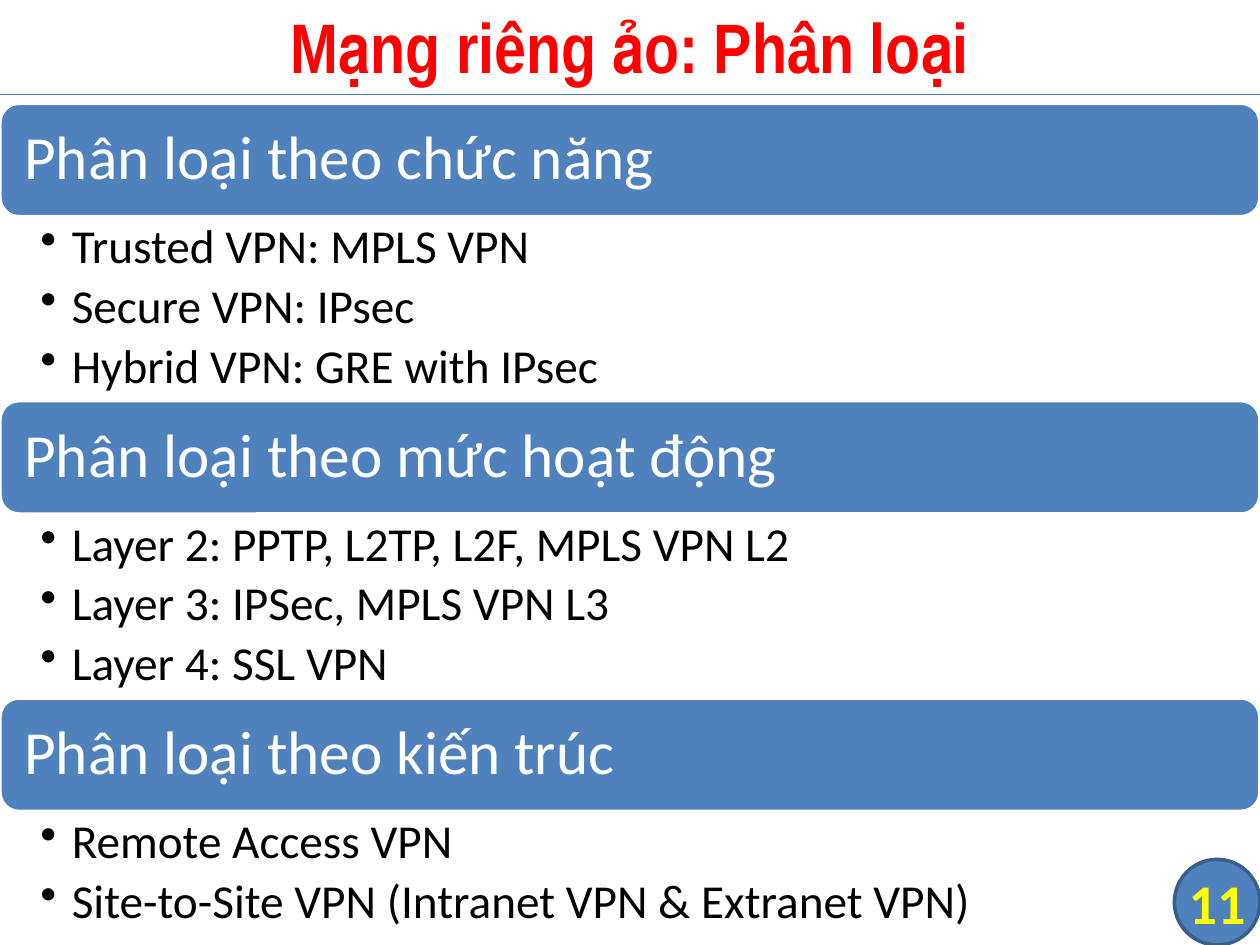
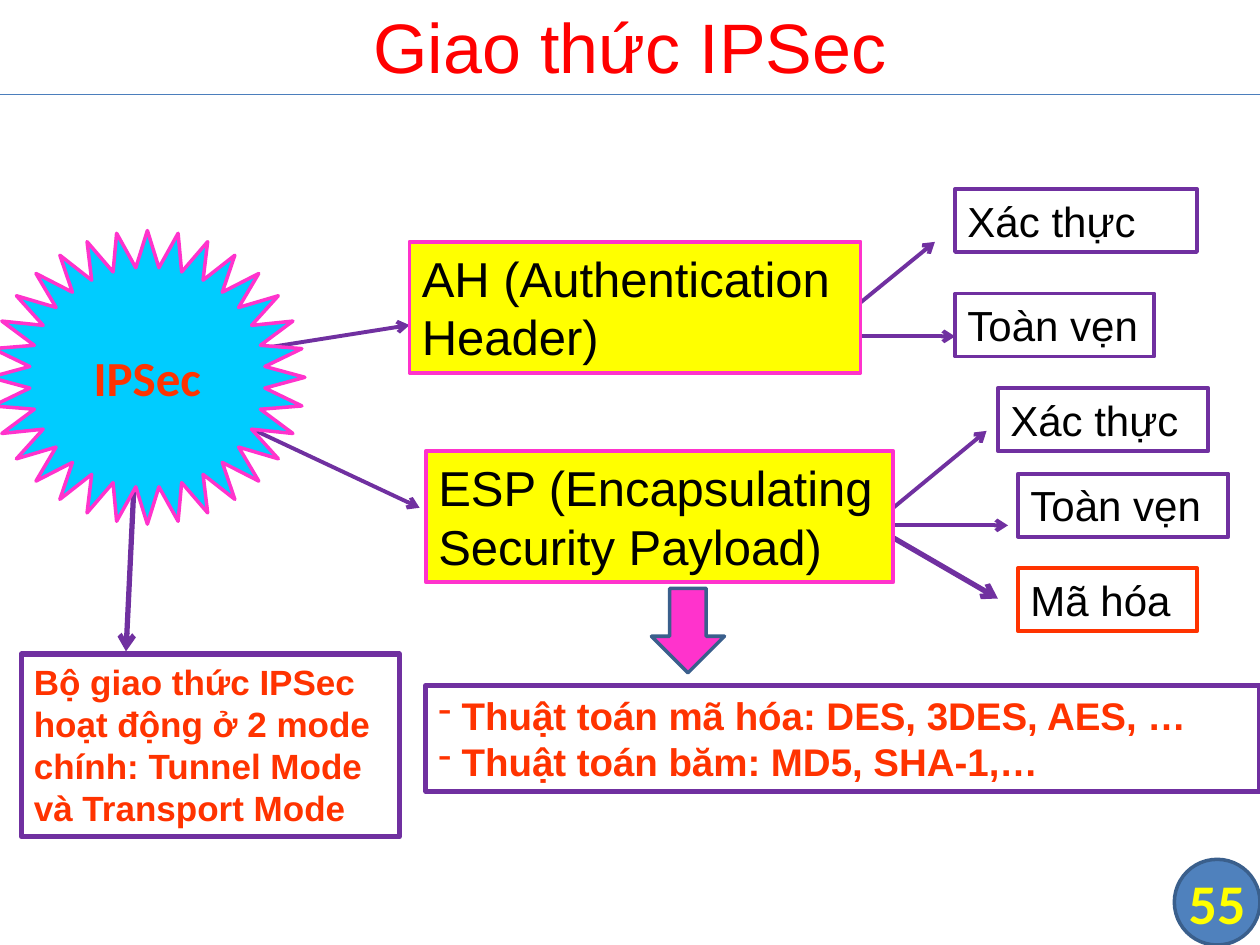
import dataclasses

import pptx
import pptx.dml.color
import pptx.enum.shapes
import pptx.enum.text
import pptx.oxml
import pptx.oxml.ns
import pptx.util

Inches = pptx.util.Inches
Pt = pptx.util.Pt
PRESET = pptx.enum.shapes.MSO_SHAPE
ALIGN = pptx.enum.text.PP_ALIGN
ANCHOR = pptx.enum.text.MSO_ANCHOR
AUTO_SIZE = pptx.enum.text.MSO_AUTO_SIZE
NS = pptx.oxml.ns.nsdecls("a")


@dataclasses.dataclass(frozen=True)
class Theme:
    white: str = "FFFFFF"
    black: str = "000000"
    blue: str = "4F81BD"
    blue_edge: str = "3A5F8C"
    divider: str = "4B7EBC"
    red: str = "FF0000"
    orange: str = "FF3300"
    yellow: str = "FFFF00"
    purple: str = "7030A0"
    pink: str = "FF33CC"
    cyan: str = "00CCFF"
    title: int = 40
    heading: int = 35
    number: int = 32
    protocol: int = 28
    item: int = 27
    service: int = 24
    algorithm: int = 22
    note: int = 20


theme = Theme()
rgb = pptx.dml.color.RGBColor.from_string


def add_part(slide, preset, at, fill=None, edge=None, width=2.25, lines=(),
             color=theme.black, font=None, frame=None, paragraph=None, bullet=None):
    box = [Inches(length) for length in at]
    if preset is None:
        part = slide.shapes.add_textbox(*box)
    else:
        part = slide.shapes.add_shape(preset, *box)
        part.shadow.inherit = False
    if fill:
        part.fill.solid()
        part.fill.fore_color.rgb = rgb(fill)
    else:
        part.fill.background()
    if edge:
        part.line.color.rgb = rgb(edge)
        part.line.width = Pt(width)
    else:
        part.line.fill.background()
    text_frame = part.text_frame
    for attribute, value in ({"word_wrap": True, "vertical_anchor": ANCHOR.TOP} | (frame or {})).items():
        setattr(text_frame, attribute, value)
    for index, line in enumerate(lines):
        row = text_frame.add_paragraph() if index else text_frame.paragraphs[0]
        for attribute, value in ({"alignment": ALIGN.LEFT} | (paragraph or {})).items():
            setattr(row, attribute, value)
        run = row.add_run()
        run.text = line
        run.font.color.rgb = rgb(color)
        for attribute, value in (font or {}).items():
            setattr(run.font, attribute, value)
        if bullet:
            mark, indent = bullet
            properties = row._p.get_or_add_pPr()
            properties.set("marL", str(Inches(indent)))
            properties.set("indent", str(Inches(-indent)))
            properties.append(pptx.oxml.parse_xml(f'<a:buChar {NS} char="{mark}"/>'))


def add_line(slide, start, end, color, width, arrow=True):
    ends = [Inches(length) for length in (*start, *end)]
    line = slide.shapes.add_connector(pptx.enum.shapes.MSO_CONNECTOR.STRAIGHT, *ends)
    line.line.color.rgb = rgb(color)
    line.line.width = Pt(width)
    properties = line._element.spPr
    if arrow:
        outline = properties.find(pptx.oxml.ns.qn("a:ln"))
        outline.append(pptx.oxml.parse_xml(f'<a:tailEnd {NS} type="arrow"/>'))
    properties.append(pptx.oxml.parse_xml(f"<a:effectLst {NS}/>"))


no_margins = dict.fromkeys(("margin_left", "margin_top", "margin_right", "margin_bottom"), 0)
centred = {"alignment": ALIGN.CENTER}
middle = {"vertical_anchor": ANCHOR.MIDDLE}
growing = {"auto_size": AUTO_SIZE.SHAPE_TO_FIT_TEXT}

presentation = pptx.Presentation()
presentation.slide_width = Inches(10)
presentation.slide_height = Inches(7.5)

slides = []
for title, title_font, number in (
    ("Mạng riêng ảo: Phân loại", {"name": "Arial Narrow", "bold": True}, "11"),
    ("Giao thức IPSec", {"name": "Arial"}, "55"),
):
    slide = presentation.slides.add_slide(presentation.slide_layouts[6])
    add_line(slide, (0, 0.75), (10, 0.75), theme.divider, 0.75, arrow=False)
    add_part(slide, None, (0, -0.03, 10, 0.78), lines=[title], color=theme.red,
             font=title_font | {"size": Pt(theme.title)}, frame=middle, paragraph=centred)
    add_part(slide, PRESET.FLOWCHART_CONNECTOR, (9.32, 6.82, 0.68, 0.68),
             theme.blue, theme.blue_edge, 2, [number], theme.yellow,
             {"name": "Calibri", "size": Pt(theme.number), "bold": True},
             no_margins | middle | {"word_wrap": False}, centred)
    slides.append(slide)
classification, ipsec = slides

groups = (
    ("Phân loại theo chức năng",
     ["Trusted VPN: MPLS VPN", "Secure VPN: IPsec", "Hybrid VPN: GRE with IPsec"]),
    ("Phân loại theo mức hoạt động",
     ["Layer 2: PPTP, L2TP, L2F, MPLS VPN L2", "Layer 3: IPSec, MPLS VPN L3", "Layer 4: SSL VPN"]),
    ("Phân loại theo kiến trúc",
     ["Remote Access VPN", "Site-to-Site VPN (Intranet VPN & Extranet VPN)"]),
)
heading_height = 0.9
for index, (heading, items) in enumerate(groups):
    top = 0.82 + index * 2.36
    add_part(classification, PRESET.ROUNDED_RECTANGLE, (0, top, 10, heading_height),
             theme.blue, theme.white, 2, [heading], theme.white,
             {"name": "Calibri", "size": Pt(theme.heading)},
             middle | {"margin_left": Inches(0.15)}, {"line_spacing": 0.9})
    add_part(classification, None, (0, top + heading_height, 10, 0.03 + 0.48 * len(items)),
             lines=items, font={"name": "Calibri", "size": Pt(theme.item)},
             frame={"margin_left": Inches(0.32), "margin_right": Inches(0.27)},
             paragraph={"level": 1, "line_spacing": 0.9, "space_after": Pt(5)},
             bullet=("•", 0.25))

ah_exit, esp_exit = (6.5, 2.67), (6.92, 4.17)
for start, end, width in (
    (ah_exit, (7.42, 1.92), 2.25),
    (ah_exit, (7.58, 2.67), 2.25),
    (esp_exit, (7.83, 3.42), 2.25),
    (esp_exit, (8, 4.17), 2.25),
    (esp_exit, (7.92, 4.75), 3),
    ((1.08, 3.5), (1, 5.17), 3),
    ((1.67, 2.83), (3.25, 2.58), 2.25),
    ((1.67, 3.25), (3.33, 4.03), 2.25),
):
    add_line(ipsec, start, end, theme.purple, width)

for protocol, at in (
    ("AH (Authentication Header)", (3.25, 1.92, 3.58, 1.04)),
    ("ESP (Encapsulating Security Payload)", (3.38, 3.58, 3.71, 1.04)),
):
    add_part(ipsec, PRESET.RECTANGLE, at, theme.yellow, theme.pink, lines=[protocol],
             font={"name": "Arial", "size": Pt(theme.protocol)}, frame=growing)

add_part(ipsec, PRESET.STAR_32_POINT, (-0.08, 1.83, 2.5, 2.33), theme.cyan, theme.pink, 2,
         ["IPSec"], theme.orange,
         {"name": "Calibri", "size": Pt(theme.protocol), "bold": True},
         no_margins | middle, centred)

add_part(ipsec, PRESET.RECTANGLE, (0.17, 5.19, 3, 1.45), theme.white, theme.purple, 3,
         ["Bộ giao thức IPSec hoạt động ở 2 mode chính: Tunnel Mode và Transport Mode"],
         theme.orange, {"name": "Arial", "size": Pt(theme.note), "bold": True}, growing)

for service, left, top, width, edge in (
    ("Xác thực", 7.58, 1.5, 1.92, theme.purple),
    ("Toàn vẹn", 7.58, 2.33, 1.58, theme.purple),
    ("Xác thực", 7.92, 3.08, 1.67, theme.purple),
    ("Toàn vẹn", 8.08, 3.76, 1.67, theme.purple),
    ("Mã hóa", 8.08, 4.51, 1.42, theme.orange),
):
    add_part(ipsec, PRESET.RECTANGLE, (left, top, width, 0.5), edge=edge, lines=[service],
             font={"name": "Arial", "size": Pt(theme.service)}, frame=growing)

add_part(ipsec, PRESET.DOWN_ARROW, (5.17, 4.67, 0.58, 0.67), theme.pink, theme.blue_edge, 2)

add_part(ipsec, PRESET.RECTANGLE, (3.38, 5.44, 6.62, 0.84), theme.white, theme.purple, 3,
         [" Thuật toán mã hóa: DES, 3DES, AES, …", " Thuật toán băm: MD5, SHA-1,…"],
         theme.orange, {"name": "Arial", "size": Pt(theme.algorithm), "bold": True},
         growing, bullet=("-", 0))

presentation.save("out.pptx")
